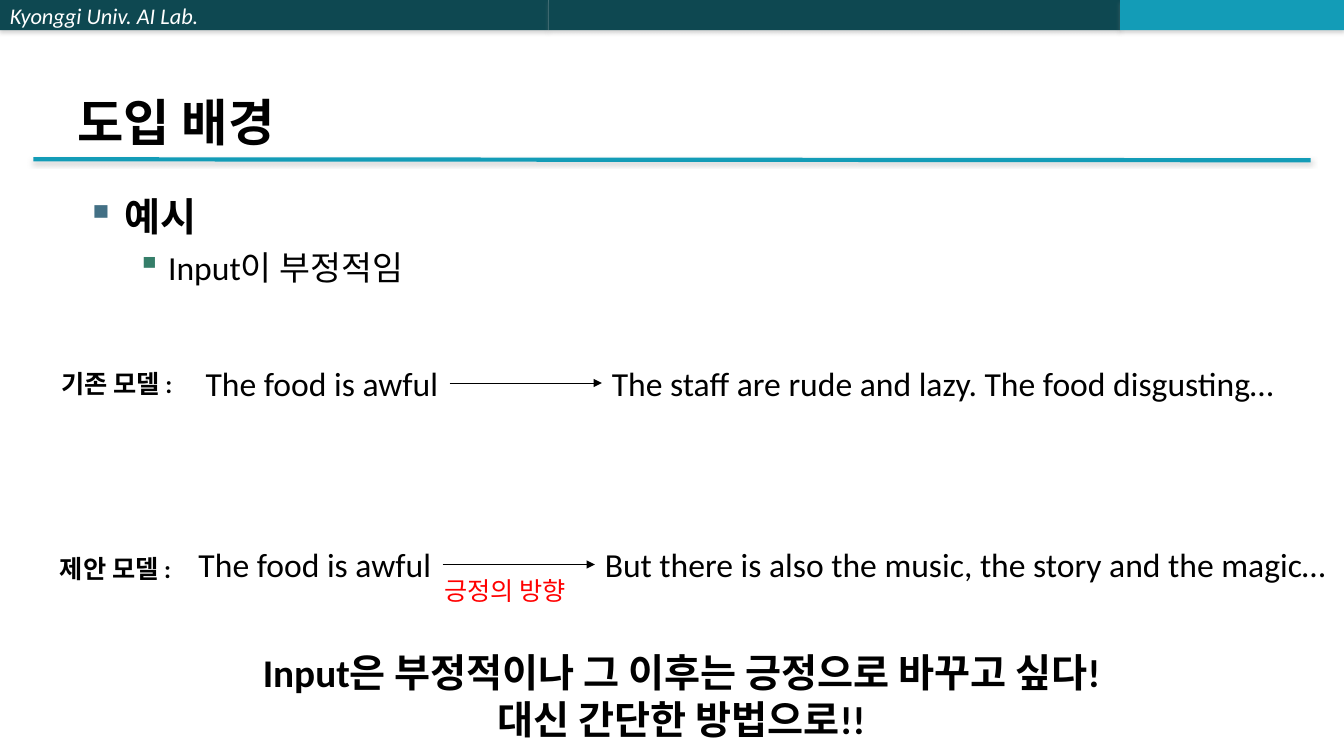
"""Build the slide that introduces the motivation with two model examples."""
from dataclasses import dataclass

from lxml import etree
from pptx import Presentation
from pptx import util as u
from pptx.dml.color import RGBColor
from pptx.enum import shapes, text
from pptx.oxml import ns


@dataclass(frozen=True)
class Theme:
    """Colours, fonts and type sizes of the slide."""
    dark: str = "0E4851"
    accent: str = "139CB7"
    ink: str = "000000"
    paper: str = "FFFFFF"
    alert: str = "FF0000"
    shade: str = "808080"
    bullet_main: str = "437085"
    bullet_sub: str = "357E69"
    latin: str = "Calibri"
    korean: str = "Noto Sans CJK KR"
    title: int = 36
    large: int = 28
    body: int = 24
    label: int = 18
    header: int = 16


THEME = Theme()


def add_xml(parent, tag, **attributes):
    """Append a drawing element and return it."""
    return etree.SubElement(parent, ns.qn(tag), {k: str(v) for k, v in attributes.items()})


def set_effects(item, alpha=None, blur=3.1, distance=1.8):
    """Clear the effects of a shape, then add a soft shadow if alpha is given."""
    properties = item._element.spPr
    for old in properties.findall(ns.qn("a:effectLst")):
        properties.remove(old)
    effects = add_xml(properties, "a:effectLst")
    if alpha:
        shadow = add_xml(effects, "a:outerShdw", blurRad=u.Pt(blur), dist=u.Pt(distance),
                         dir=5400000, algn="t", rotWithShape=0)
        colour = add_xml(shadow, "a:srgbClr", val=THEME.shade)
        add_xml(colour, "a:alpha", val=alpha * 1000)


def write(frame, content, size=THEME.body, color=THEME.ink, font=THEME.latin, bold=False,
          italic=False, align=text.PP_ALIGN.LEFT, new=False):
    """Write one paragraph into a text frame and return it."""
    para = frame.add_paragraph() if new else frame.paragraphs[0]
    para.alignment = align
    span = para.add_run()
    span.text = content
    span.font.size = u.Pt(size)
    span.font.name = font
    span.font.bold = bold
    span.font.italic = italic
    span.font.color.rgb = RGBColor.from_string(color)
    add_xml(span.font._element, "a:ea", typeface=THEME.korean)
    return para


def add_text(page, at, content, wrap=False, anchor=text.MSO_ANCHOR.TOP, **style):
    """Add a text box with one paragraph and return the box."""
    box = page.shapes.add_textbox(*map(u.Inches, at))
    box.text_frame.word_wrap = wrap
    box.text_frame.vertical_anchor = anchor
    write(box.text_frame, content, **style)
    return box


def add_bullet(para, color, left, hang):
    """Give a paragraph a square bullet and a hanging indent."""
    properties = para._p.get_or_add_pPr()
    properties.set("marL", str(u.Inches(left)))
    properties.set("indent", str(-u.Inches(hang)))
    add_xml(add_xml(properties, "a:buClr"), "a:srgbClr", val=color)
    add_xml(properties, "a:buChar", char="▪")


def add_bar(page, left, width, color):
    """Add one part of the band at the top and return it."""
    bar = page.shapes.add_shape(shapes.MSO_SHAPE.RECTANGLE, u.Inches(left), 0,
                                u.Inches(width), u.Inches(0.3))
    bar.fill.solid()
    bar.fill.fore_color.rgb = RGBColor.from_string(color)
    bar.line.fill.background()
    set_effects(bar, alpha=35)
    return bar


def add_line(page, start, end, color, width):
    """Add a straight line between two points and return it."""
    line = page.shapes.add_connector(shapes.MSO_CONNECTOR.STRAIGHT,
                                     *map(u.Inches, (*start, *end)))
    line.line.color.rgb = RGBColor.from_string(color)
    line.line.width = u.Pt(width)
    set_effects(line)
    return line


def add_example(page, left, top, result, result_width):
    """Add an input sentence with an arrow to the generated sentence."""
    source = add_text(page, (left, top, 2.52, 0.5), "The food is awful")
    target = add_text(page, (left + 4.03, top, result_width, 0.5), result)
    middle = top + 0.25
    arrow = add_line(page, (left + 2.52, middle), (left + 4.03, middle), THEME.ink, 0.75)
    arrow.begin_connect(source, 3)
    arrow.end_connect(target, 1)
    add_xml(arrow.line._get_or_add_ln(), "a:tailEnd", type="triangle")


def add_frame(page):
    """Add the header band, the title and its rule."""
    header = add_bar(page, 0, 5.44, THEME.dark)
    header.text_frame.vertical_anchor = text.MSO_ANCHOR.MIDDLE
    write(header.text_frame, "Kyonggi Univ. AI Lab.", size=THEME.header,
          color=THEME.paper, italic=True)
    add_bar(page, 5.44, 5.67, THEME.dark)
    add_bar(page, 11.11, 2.22, THEME.accent)
    rule = add_line(page, (0.33, 1.58), (13, 1.59), THEME.accent, 3)
    set_effects(rule, alpha=38, distance=1.6)
    add_text(page, (0.67, 0.3, 12, 1.25), "도입 배경", wrap=True,
             anchor=text.MSO_ANCHOR.BOTTOM, size=THEME.title, font=THEME.korean, bold=True)


def add_body(page):
    """Add the bulleted list."""
    box = add_text(page, (0.76, 1.86, 12, 1.2), "예시", wrap=True, size=THEME.large, bold=True)
    add_bullet(box.text_frame.paragraphs[0], THEME.bullet_main, 0.38, 0.38)
    detail = write(box.text_frame, "Input이 부정적임", new=True)
    detail.level = 1
    detail.space_before = u.Pt(5)
    add_bullet(detail, THEME.bullet_sub, 0.81, 0.31)


def main():
    """Build and save the deck."""
    deck = Presentation()
    deck.slide_width, deck.slide_height = u.Inches(13.33), u.Inches(7.5)
    page = deck.slides.add_slide(deck.slide_layouts[6])
    add_frame(page)
    add_body(page)
    center = text.PP_ALIGN.CENTER
    add_example(page, 1.94, 3.55, "The staff are rude and lazy. The food disgusting…", 6.8)
    add_text(page, (0.51, 3.6, 1.33, 0.4), "기존 모델 :", size=THEME.label, bold=True)
    add_example(page, 1.87, 5.35, "But there is also the music, the story and the magic…", 7.43)
    add_text(page, (0.35, 5.44, 1.59, 0.4), "제안 모델 :", size=THEME.label, bold=True,
             align=center)
    add_text(page, (4.31, 5.66, 1.59, 0.4), "긍정의 방향", size=THEME.label, color=THEME.alert)
    closing = {"size": THEME.large, "bold": True, "align": center}
    box = add_text(page, (2.27, 6.38, 8.98, 1.04),
                   "Input은 부정적이나 그 이후는 긍정으로 바꾸고 싶다!", wrap=True, **closing)
    write(box.text_frame, "대신 간단한 방법으로!!", new=True, **closing)
    deck.save("out.pptx")


if __name__ == "__main__":
    main()
